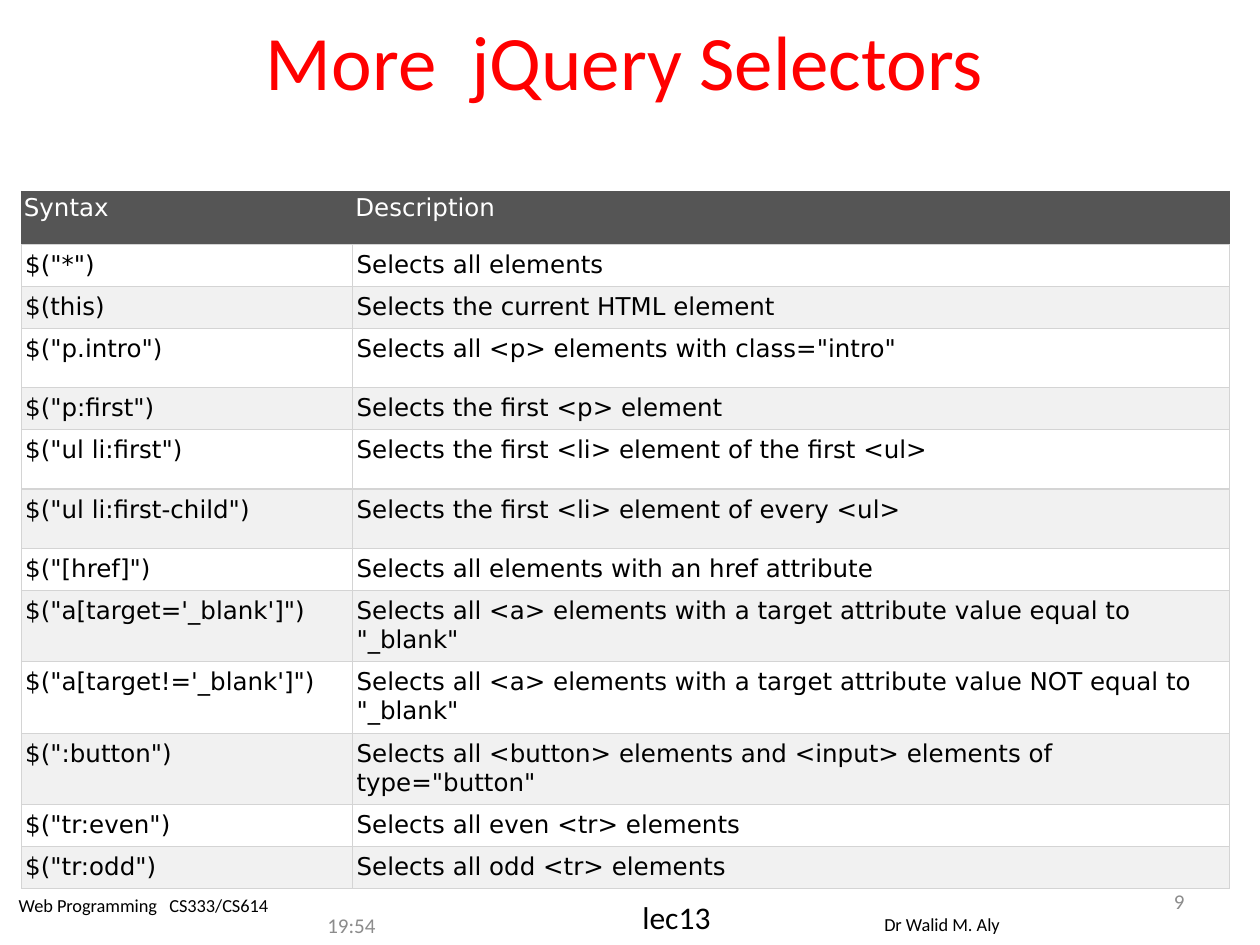
from lxml.etree import SubElement
from pptx import Presentation
from pptx.dml.color import RGBColor
from pptx.enum.text import MSO_ANCHOR as Anchor, PP_ALIGN as Align
from pptx.oxml.ns import qn
from pptx.util import Inches, Pt

COLORS = {"title": "FF0000", "text": "000000", "muted": "8C8C8C", "head": "555555",
          "head_text": "FFFFFF", "odd": "FFFFFF", "even": "F1F1F1", "border": "D4D4D4"}
TALL, SHORT = 0.47, 0.28
SELECTORS = [
    ('$("*")', "Selects all elements", SHORT),
    ("$(this)", "Selects the current HTML element", SHORT),
    ('$("p.intro")', 'Selects all <p> elements with class="intro"', TALL),
    ('$("p:first")', "Selects the first <p> element", SHORT),
    ('$("ul li:first")', "Selects the first <li> element of the first <ul>", TALL),
    ('$("ul li:first-child")', "Selects the first <li> element of every <ul>", TALL),
    ('$("[href]")', "Selects all elements with an href attribute", SHORT),
    ("$(\"a[target='_blank']\")",
     'Selects all <a> elements with a target attribute value equal to "_blank"', TALL),
    ("$(\"a[target!='_blank']\")",
     'Selects all <a> elements with a target attribute value NOT equal to "_blank"', TALL),
    ('$(":button")',
     'Selects all <button> elements and <input> elements of type="button"', TALL),
    ('$("tr:even")', "Selects all even <tr> elements", SHORT),
    ('$("tr:odd")', "Selects all odd <tr> elements", SHORT),
]


def rgb(name):
    """Return the named colour."""
    return RGBColor.from_string(COLORS[name])


def style(p, size, color, font):
    """Format every run of a paragraph."""
    for r in p.runs:
        r.font.size, r.font.name = Pt(size), font
        r.font.color.rgb = rgb(color)


def add_text(s, box, text, size, color="text", align=Align.LEFT, anchor=Anchor.TOP):
    """Add one line of text in a box of inches."""
    tf = s.shapes.add_textbox(*map(Inches, box)).text_frame
    tf.word_wrap = True
    tf.vertical_anchor = anchor
    tf.text = text
    p = tf.paragraphs[0]
    p.alignment = align
    style(p, size, color, "Calibri")


def add_footer(s, left, top):
    """Place the course, time, lecture, lecturer and page number."""
    add_text(s, (left, top + 0.1, 3.92, 0.49), "Web Programming   CS333/CS614", 10.5)
    add_text(s, (left + 2.45, top + 0.26, 0.67, 0.26), "19:54", 12, "muted",
             anchor=Anchor.MIDDLE)
    add_text(s, (left + 4.95, top + 0.13, 0.75, 0.42), "lec13", 18)
    add_text(s, (left + 6.87, top + 0.25, 1.67, 0.29), "Dr Walid M. Aly", 10.5)
    add_text(s, (left + 7.12, top, 2.33, 0.4), "9", 12, "muted", Align.RIGHT, Anchor.MIDDLE)


def set_borders(cell, sides):
    """Draw thin cell borders from a dict of side to colour name."""
    tc_pr = cell._tc.get_or_add_tcPr()
    for side, color in sides.items():
        ln = SubElement(tc_pr, qn(f"a:ln{side}"), w=str(Pt(0.75)))
        fill = SubElement(ln, qn("a:solidFill"))
        SubElement(fill, qn("a:srgbClr"), val=COLORS[color])


def fill_cell(cell, text, fill, color, edge, inset):
    """Write and format one table cell."""
    cell.margin_left = cell.margin_right = Inches(inset[0])
    cell.margin_top = cell.margin_bottom = Inches(inset[1])
    set_borders(cell, {"L": edge, "R": edge, "T": edge, "B": "border"})
    cell.fill.solid()
    cell.fill.fore_color.rgb = rgb(fill)
    cell.text = text
    style(cell.text_frame.paragraphs[0], 14, color, "DejaVu Sans")


def add_selector_table(s, left, top, widths):
    """Add the table of selectors with banded rows."""
    rows = [("Syntax", "Description", 0.42)] + SELECTORS
    heights = [row[-1] for row in rows]
    table = s.shapes.add_table(len(rows), len(widths), Inches(left), Inches(top),
                               Inches(sum(widths)), Inches(sum(heights))).table
    for column, width in zip(table.columns, widths):
        column.width = Inches(width)
    for i, (*texts, height) in enumerate(rows):
        table.rows[i].height = Inches(height)
        if i == 0:
            look = "head", "head_text", "head", (0.02, 0.02)
        else:
            look = "odd" if i % 2 else "even", "text", "border", (0.03, 0.05)
        for j, text in enumerate(texts):
            fill_cell(table.cell(i, j), text, *look)


def main():
    """Build and save the slide."""
    prs = Presentation()
    prs.slide_width, prs.slide_height = Inches(10), Inches(7.5)
    s = prs.slides.add_slide(prs.slide_layouts[6])
    add_footer(s, 0.05, 6.95)
    add_text(s, (0.46, 0, 9, 0.95), "More  jQuery Selectors", 44, "title",
             Align.CENTER, Anchor.MIDDLE)
    add_selector_table(s, 0.17, 1.52, (2.63, 6.96))
    prs.save("out.pptx")


if __name__ == "__main__":
    main()
